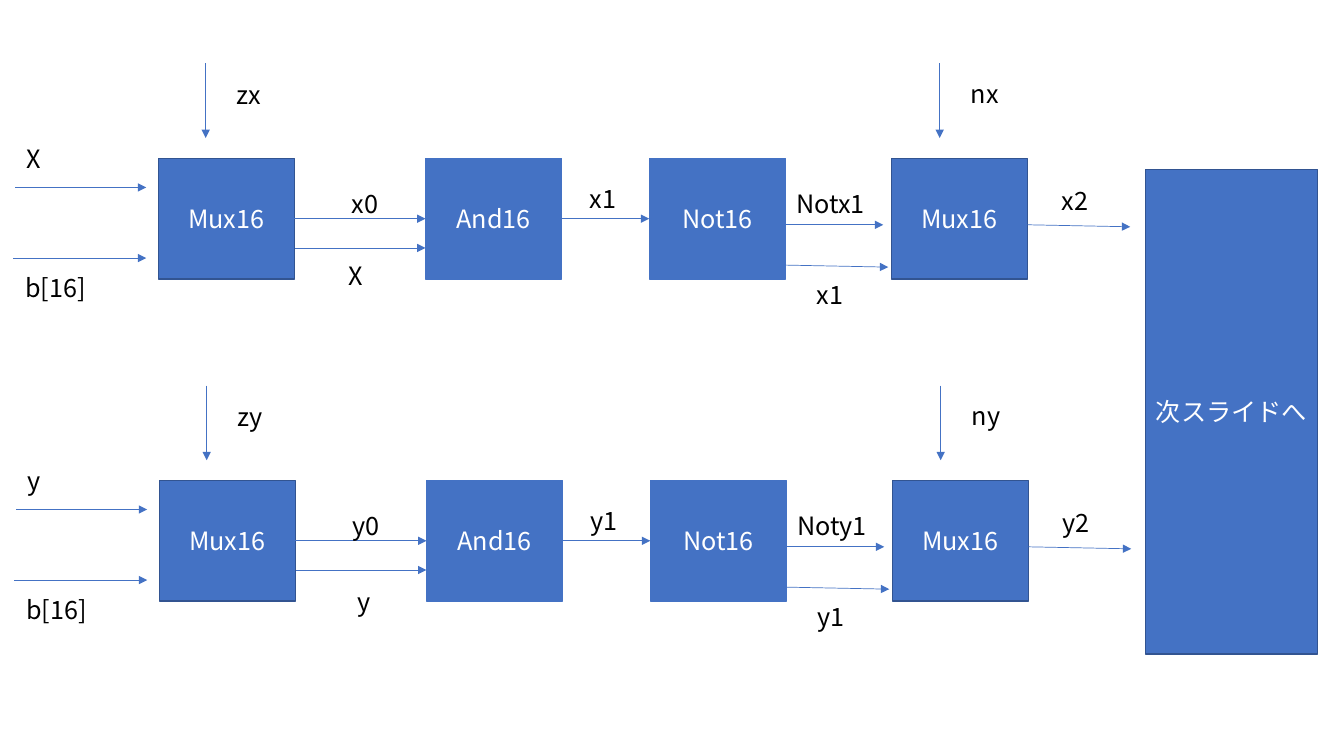
from lxml import etree
from pptx import Presentation, util as u
from pptx.dml.color import RGBColor
from pptx.enum import shapes, text
from pptx.oxml import ns

COLORS = {"blue": "4472C4", "edge": "325491", "white": "FFFFFF", "black": "000000"}
FONT = "Noto Sans CJK JP"
GRID = u.Inches(0.1)
TOP, LEFT, BOTTOM, RIGHT = range(4)
LANE_COL, LANE_ROW = 0.1, 31.95
GATE_ROW, GATE_WIDTH, GATE_HEIGHT = 15.7, 13.5, 12


def rgb(name):
    return RGBColor.from_string(COLORS[name])


def add_xml(parent, tag, **attributes):
    return etree.SubElement(parent, ns.qn(tag), attributes)


def write(frame, words, color="black", size=18, align=text.PP_ALIGN.LEFT):
    paragraph = frame.paragraphs[0]
    paragraph.alignment = align
    run = paragraph.add_run()
    run.text = words
    run.font.size = u.Pt(size)
    run.font.name = FONT
    run.font.color.rgb = rgb(color)
    add_xml(run._r.get_or_add_rPr(), "a:ea", typeface=FONT)


class Diagram:
    def __init__(self, slide):
        self.shapes = slide.shapes
        self.col = self.row = 0

    def move_to(self, col, row):
        self.col, self.row = col, row

    def point(self, col, row):
        return int((self.col + col) * GRID), int((self.row + row) * GRID)

    def box(self, words, col, row, width, height, edge="edge"):
        block = self.shapes.add_shape(
            shapes.MSO_SHAPE.RECTANGLE, *self.point(col, row),
            int(width * GRID), int(height * GRID))
        block.shadow.inherit = False
        block.fill.solid()
        block.fill.fore_color.rgb = rgb("blue")
        block.line.color.rgb = rgb(edge)
        block.line.width = u.Pt(1)
        block.text_frame.word_wrap = True
        block.text_frame.vertical_anchor = text.MSO_ANCHOR.MIDDLE
        write(block.text_frame, words, color="white", align=text.PP_ALIGN.CENTER)
        return block

    def gate(self, words, col, edge="edge"):
        return self.box(words, col, GATE_ROW, GATE_WIDTH, GATE_HEIGHT, edge)

    def label(self, words, col, row, width=8.3):
        caption = self.shapes.add_textbox(
            *self.point(col, row), int(width * GRID), int(4 * GRID))
        caption.text_frame.word_wrap = True
        caption.text_frame.auto_size = text.MSO_AUTO_SIZE.SHAPE_TO_FIT_TEXT
        write(caption.text_frame, words)

    def arrow(self, start, end):
        wire = self.shapes.add_connector(
            shapes.MSO_CONNECTOR.STRAIGHT, *self.point(*start), *self.point(*end))
        wire.line.color.rgb = rgb("blue")
        wire.line.width = u.Pt(0.5)
        add_xml(wire.line._get_or_add_ln(), "a:tailEnd", type="triangle")
        add_xml(wire._element.spPr, "a:effectLst")
        return wire

    def join(self, source, target):
        wire = self.arrow((0, 0), (1, 1))
        wire.begin_connect(source, RIGHT)
        wire.end_connect(target, LEFT)

    def lane(self, signal, operand, operand_at):
        zero_mux = self.gate("Mux16", 15.7)
        and_gate = self.gate("And16", 42.2, edge="blue")
        not_gate = self.gate("Not16", 64.4, edge="blue")
        self.gate("Mux16", 88.4)

        self.join(zero_mux, and_gate)
        self.join(and_gate, not_gate)
        for start, end in (
            ((1.5, 18.6), (14.5, 18.6)),
            ((1.3, 25.6), (14.5, 25.6)),
            ((20.4, 6.3), (20.4, 13.7)),
            ((29.3, 24.6), (42.2, 24.6)),
            ((76.2, 22.3), (87.6, 22.3)),
            ((77.9, 26.3), (88.1, 26.5)),
            ((93.2, 6.3), (93.2, 13.7)),
            ((101.9, 22.3), (112.1, 22.5)),
        ):
            self.arrow(start, end)

        for words, col, row, width in (
            (operand, 1.6, 13.7, 12.9),
            ("b[16]", 1.5, 26.5, 12.9),
            (operand, *operand_at, 12.9),
            (f"z{signal}", 22.5, 7.4, 6.7),
            (f"n{signal}", 95.3, 7.3, 6.7),
            (f"Not{signal}1", 78, 18.2, 10.4),
        ):
            self.label(words, col, row, width)
        for words, col, row in (
            (f"{signal}0", 33.9, 18.2),
            (f"{signal}1", 57.5, 17.7),
            (f"{signal}1", 80, 27.2),
            (f"{signal}2", 104.3, 17.9),
        ):
            self.label(words, col, row)


def main():
    deck = Presentation()
    deck.slide_width, deck.slide_height = u.Inches(13.33), u.Inches(7.5)
    diagram = Diagram(deck.slides.add_slide(deck.slide_layouts[6]))

    diagram.lane("x", operand="X", operand_at=(33.6, 25.3))
    diagram.move_to(LANE_COL, LANE_ROW)
    diagram.lane("y", operand="y", operand_at=(34.4, 25.75))
    diagram.move_to(0, 0)
    diagram.box("次スライドへ", 113.6, 16.8, 17.1, 48.1)

    deck.save("out.pptx")


if __name__ == "__main__":
    main()
